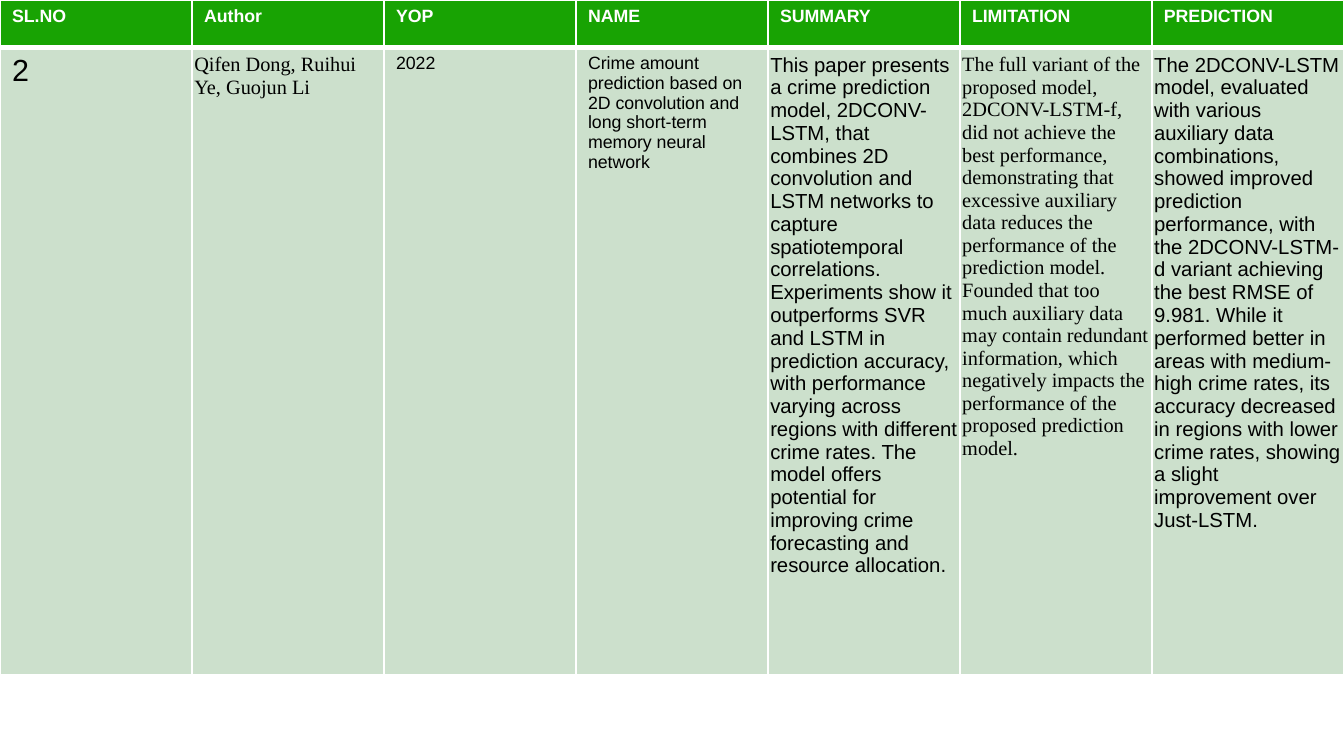
from dataclasses import dataclass

from lxml import etree
from pptx import Presentation
from pptx import util as u
from pptx.dml import color
from pptx.oxml import ns

HEADERS = ["SL.NO", "Author", "YOP", "NAME", "SUMMARY", "LIMITATION", "PREDICTION"]
SUMMARY = (
    "This paper presents a crime prediction model, 2DCONV-LSTM, that combines 2D convolution "
    "and LSTM networks to capture spatiotemporal correlations. Experiments show it outperforms "
    "SVR and LSTM in prediction accuracy, with performance varying across regions with different "
    "crime rates. The model offers potential for improving crime forecasting and resource allocation."
)
LIMITATION = (
    "The full variant of the proposed model, 2DCONV-LSTM-f, did not achieve the best performance, "
    "demonstrating that excessive auxiliary data reduces the performance of the prediction model. "
    "Founded that too much auxiliary data may contain redundant information, which negatively "
    "impacts the performance of the proposed prediction model."
)
PREDICTION = (
    "The 2DCONV-LSTM model, evaluated with various auxiliary data combinations, showed improved "
    "prediction performance, with the 2DCONV-LSTM-d variant achieving the best RMSE of 9.981. "
    "While it performed better in areas with medium-high crime rates, its accuracy decreased in "
    "regions with lower crime rates, showing a slight improvement over Just-LSTM."
)


@dataclass(frozen=True)
class Theme:
    header_fill: str = "18A303"
    body_fill: str = "CCE0CC"
    light: str = "FFFFFF"
    dark: str = "000000"
    sans: str = "Arial"
    serif: str = "Times New Roman"
    small: float = 10.5
    body: float = 12
    large: float = 18
    thin: float = 0.96
    thick: float = 3
    wide_inset: float = 0.1
    tight_inset: float = 0.02


class Deck:
    """Holds the theme and the current slide."""

    def __init__(self, width, height, theme):
        self.prs = Presentation()
        self.prs.slide_width, self.prs.slide_height = u.Inches(width), u.Inches(height)
        self.theme = theme
        self.s = self.prs.slides.add_slide(self.prs.slide_layouts[6])

    def table(self, columns, row_shares):
        """Full-width table: equal columns, row heights as shares of the slide."""
        w, h = self.prs.slide_width, self.prs.slide_height
        heights = [int(h * share) for share in row_shares]
        tbl = self.s.shapes.add_table(len(heights), columns, 0, 0, w, sum(heights)).table
        for col in tbl.columns:
            col.width = w // columns
        for row, height in zip(tbl.rows, heights):
            row.height = height
        return tbl

    def cell(self, cell, content, fill, inset, bottom, **font):
        cell.fill.solid()
        cell.fill.fore_color.rgb = color.RGBColor.from_string(fill)
        cell.margin_left = cell.margin_right = u.Inches(inset)
        r = cell.text_frame.paragraphs[0].add_run()
        r.text = content
        r.font.color.rgb = color.RGBColor.from_string(font.pop("ink"))
        font["size"] = u.Pt(font["size"])
        for name, value in font.items():
            setattr(r.font, name, value)
        self.borders(cell, bottom)

    def borders(self, cell, bottom):
        """White rules on all sides; they come before the fill in the cell properties."""
        t = self.theme
        tc_pr = cell._tc.get_or_add_tcPr()
        widths = {"lnL": t.thin, "lnR": t.thin, "lnT": t.thin, "lnB": bottom}
        for i, (tag, width) in enumerate(widths.items()):
            ln = etree.Element(ns.qn(f"a:{tag}"), w=str(int(u.Pt(width))))
            solid = etree.SubElement(ln, ns.qn("a:solidFill"))
            etree.SubElement(solid, ns.qn("a:srgbClr"), val=t.light)
            tc_pr.insert(i, ln)


def main():
    t = Theme()
    deck = Deck(11.02, 6.2, t)
    tbl = deck.table(len(HEADERS), [0.063, 0.829])

    # Header row
    for i, label in enumerate(HEADERS):
        deck.cell(tbl.cell(0, i), label, t.header_fill, t.wide_inset, t.thick,
                  ink=t.light, size=t.small, name=t.sans, bold=True)

    # Paper row: content, size, font, side inset
    paper = [
        ("2", t.large, t.sans, t.wide_inset),
        ("Qifen Dong, Ruihui Ye, Guojun Li", t.body, t.serif, t.tight_inset),
        ("2022", t.small, t.sans, t.wide_inset),
        ("Crime amount prediction based on 2D convolution and long short-term memory "
         "neural network", t.small, t.sans, t.wide_inset),
        (SUMMARY, t.body, t.sans, t.tight_inset),
        (LIMITATION, t.body, t.serif, t.tight_inset),
        (PREDICTION, t.body, t.sans, t.tight_inset),
    ]
    for i, (content, size, name, inset) in enumerate(paper):
        deck.cell(tbl.cell(1, i), content, t.body_fill, inset, t.thin,
                  ink=t.dark, size=size, name=name, bold=False)
    # The rule under the header is shared by both rows
    for cell in tbl.rows[1].cells:
        cell._tc.tcPr.find(ns.qn("a:lnT")).set("w", str(int(u.Pt(t.thick))))

    deck.prs.save("out.pptx")


if __name__ == "__main__":
    main()
